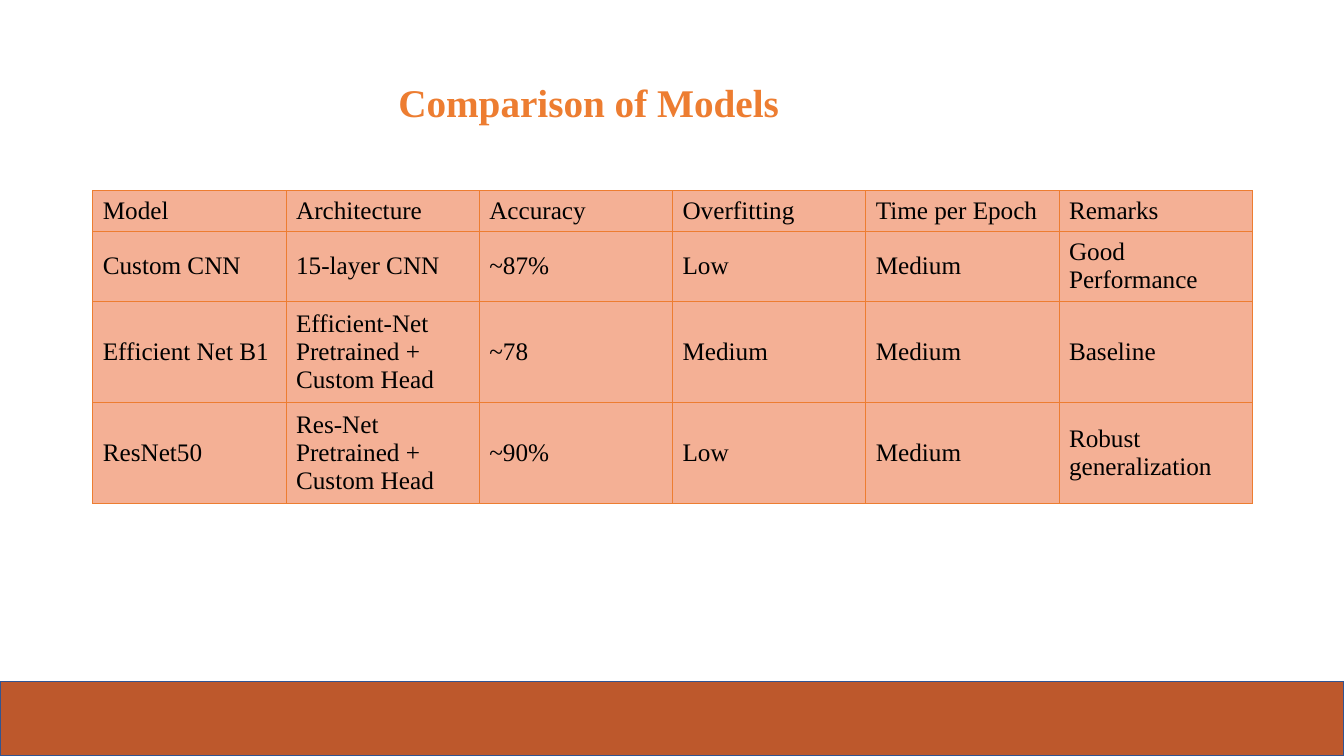
from dataclasses import dataclass

from lxml.etree import SubElement
from pptx import Presentation
from pptx.dml.color import RGBColor
from pptx.enum.shapes import MSO_SHAPE as SHAPE
from pptx.enum.text import MSO_ANCHOR as ANCHOR, PP_ALIGN as ALIGN
from pptx.oxml.ns import qn
from pptx.util import Inches, Pt


@dataclass(frozen=True)
class Theme:
    font: str = "Times New Roman"
    title_size: int = 28
    cell_size: int = 18
    accent: str = "ED7D31"
    cell_fill: str = "F4B095"
    text: str = "000000"
    band: str = "BD582C"
    band_line: str = "325491"


THEME = Theme()
COLUMN_WIDTH = 11.5 / 6
ROW_HEIGHTS = [0.4, 0.7, 1, 1]
MODELS = [
    ["Model", "Architecture", "Accuracy", "Overfitting", "Time per Epoch", "Remarks"],
    ["Custom CNN", "15-layer CNN", "~87%", "Low", "Medium", "Good Performance"],
    ["Efficient Net B1", "Efficient-Net Pretrained + Custom Head", "~78",
     "Medium", "Medium", "Baseline"],
    ["ResNet50", "Res-Net Pretrained + Custom Head", "~90%",
     "Low", "Medium", "Robust generalization"],
]


def rgb(value):
    return RGBColor.from_string(value)


def write_text(tf, text, size, color, bold=False):
    p = tf.paragraphs[0]
    p.alignment = ALIGN.LEFT
    r = p.add_run()
    r.text = text
    formats = {"name": THEME.font, "size": Pt(size), "bold": bold}
    for name, value in formats.items():
        setattr(r.font, name, value)
    r.font.color.rgb = rgb(color)


def add_band(slide):
    sp = slide.shapes.add_shape(
        SHAPE.RECTANGLE, 0, Inches(6.76), Inches(13.33), Inches(0.74))
    sp.shadow.inherit = False
    sp.fill.solid()
    sp.fill.fore_color.rgb = rgb(THEME.band)
    sp.line.color.rgb = rgb(THEME.band_line)
    sp.line.width = Pt(1)


def set_title(slide, text):
    sp = slide.shapes.title
    place = {"left": 3.85, "top": 0.73, "width": 4.46, "height": 0.57}
    for name, value in place.items():
        setattr(sp, name, Inches(value))
    sp.text_frame.vertical_anchor = ANCHOR.TOP
    write_text(sp.text_frame, text, THEME.title_size, THEME.accent, bold=True)


def set_borders(cell):
    # Borders must come before the fill in the cell properties
    tc_pr = cell._tc.get_or_add_tcPr()
    for side in ("lnL", "lnR", "lnT", "lnB"):
        ln = SubElement(tc_pr, qn(f"a:{side}"), w=str(Pt(0.5)))
        fill = SubElement(ln, qn("a:solidFill"))
        SubElement(fill, qn("a:srgbClr"), val=THEME.accent)


def add_model_table(slide, rows):
    frame = slide.shapes.add_table(
        len(rows), len(rows[0]), Inches(0.92), Inches(1.89),
        Inches(COLUMN_WIDTH * len(rows[0])), Inches(sum(ROW_HEIGHTS)))
    table = frame.table
    for flag in ("first_row", "horz_banding"):
        setattr(table, flag, False)
    for column in table.columns:
        column.width = Inches(COLUMN_WIDTH)
    for row, height, texts in zip(table.rows, ROW_HEIGHTS, rows):
        row.height = Inches(height)
        for cell, text in zip(row.cells, texts):
            set_borders(cell)
            cell.fill.solid()
            cell.fill.fore_color.rgb = rgb(THEME.cell_fill)
            cell.vertical_anchor = ANCHOR.MIDDLE
            write_text(cell.text_frame, text, THEME.cell_size, THEME.text)


def main():
    prs = Presentation()
    prs.slide_width, prs.slide_height = Inches(13.33), Inches(7.5)
    slide = prs.slides.add_slide(prs.slide_layouts.get_by_name("Title Only"))

    # Footer band, heading and comparison table
    add_band(slide)
    set_title(slide, "Comparison of Models")
    add_model_table(slide, MODELS)

    prs.save("out.pptx")


if __name__ == "__main__":
    main()
